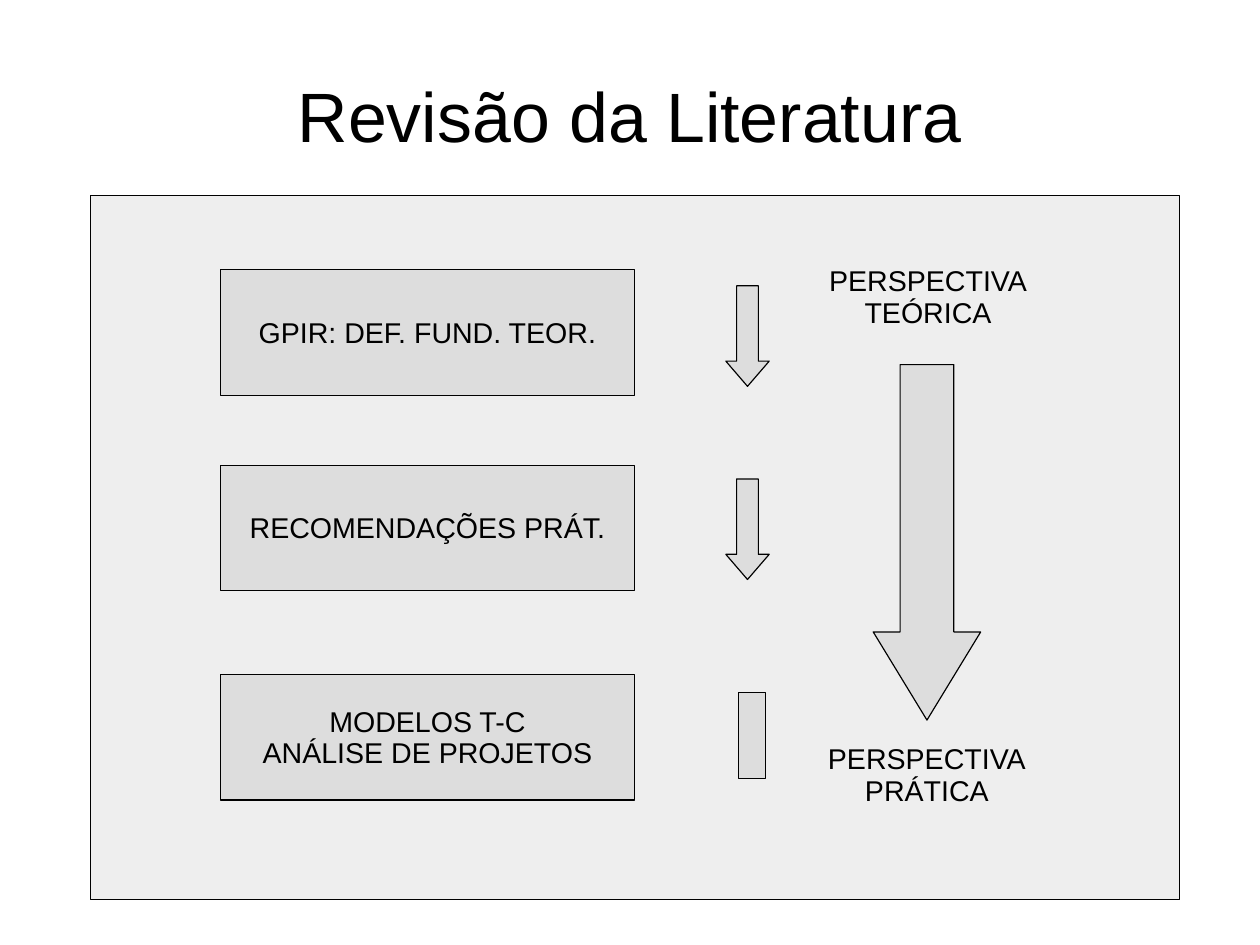
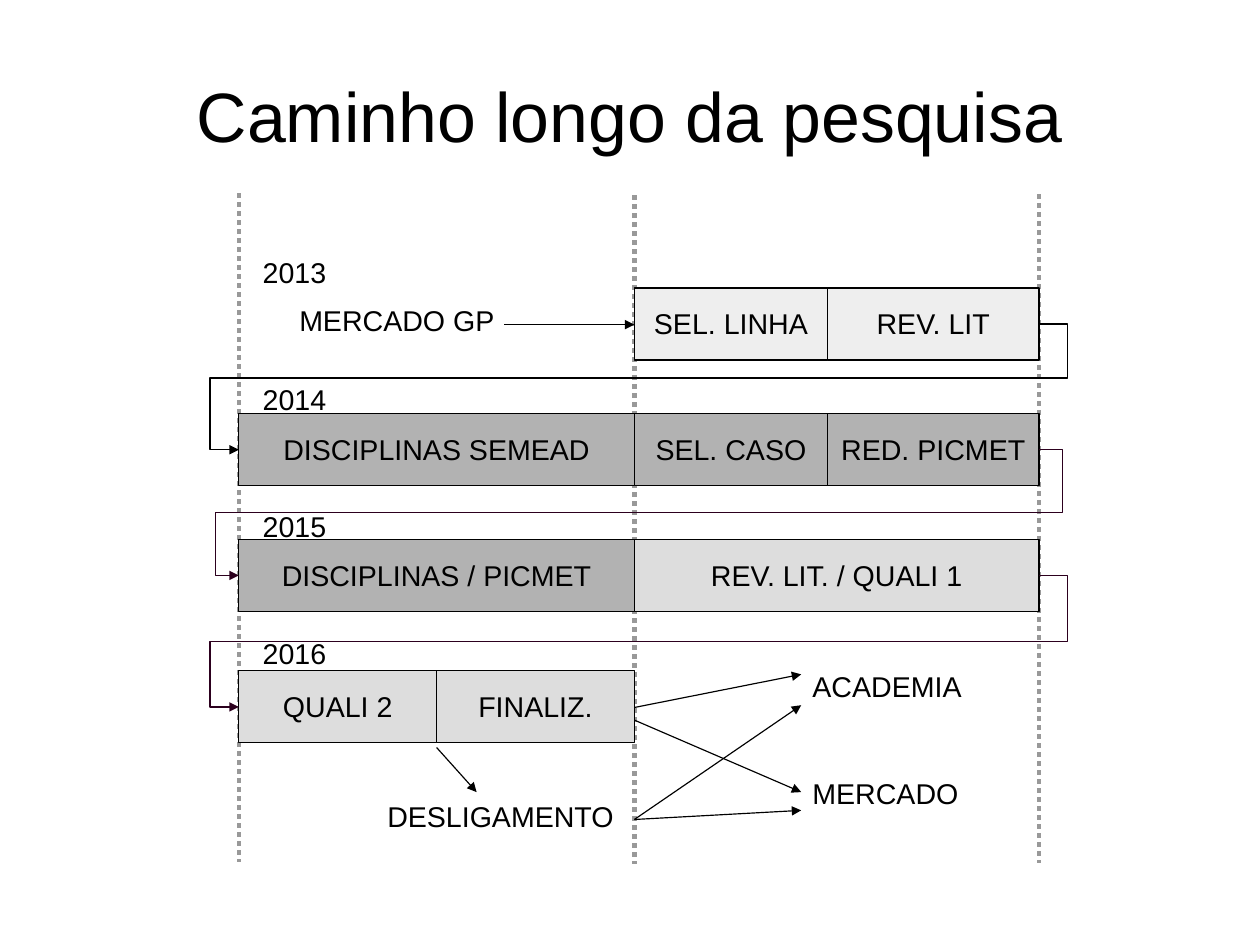
from lxml import etree
from pptx import Presentation
from pptx.dml.color import RGBColor
from pptx.enum import dml, shapes, text
from pptx.oxml.ns import qn
from pptx.util import Cm, Inches, Pt

# Shared look
WIDE, HIGH = Cm(28), Cm(21)
FONT = "Arial"
BLACK = RGBColor(0x00, 0x00, 0x00)
PLUM = RGBColor(0x2C, 0x00, 0x1E)
PALE = RGBColor(0xEE, 0xEE, 0xEE)
LIGHT = RGBColor(0xDD, 0xDD, 0xDD)
MID = RGBColor(0xB2, 0xB2, 0xB2)
DOT = RGBColor(0x99, 0x99, 0x99)
THIN = 0.75
RECT = shapes.MSO_SHAPE.RECTANGLE
DOWN = shapes.MSO_SHAPE.DOWN_ARROW
LEFT, MIDDLE = text.PP_ALIGN.LEFT, text.PP_ALIGN.CENTER

# Review slide: stacked boxes
STACK = (2.36, 4.07, 5.9)
BOX_X, BOX_W, BOX_H = 1.93, 3.62, 1.1

# Route slide: column edges, row tops, row height
COLS = (2.09, 3.82, 5.55, 7.24, 9.09)
ROWS = (2.52, 3.62, 4.72, 5.87)
ROW_H = 0.63


def inch(*sizes):
    return [Inches(size) for size in sizes]


def write(frame, lines, size=18, align=MIDDLE, side=0.05, top=0.07, foot=0.05):
    frame.word_wrap = True
    frame.margin_left = frame.margin_right = Inches(side)
    frame.margin_top, frame.margin_bottom = inch(top, foot)
    for i, line in enumerate(lines):
        para = frame.add_paragraph() if i else frame.paragraphs[0]
        para.alignment = align
        para.line_spacing = 0.93
        run = para.add_run()
        run.text = line
        run.font.name = FONT
        run.font.size = Pt(size)
        run.font.color.rgb = BLACK


def block(slide, kind, at, fill, lines=()):
    shape = slide.shapes.add_shape(kind, *inch(*at))
    shape.shadow.inherit = False
    shape.fill.solid()
    shape.fill.fore_color.rgb = fill
    shape.line.color.rgb = BLACK
    shape.line.width = Pt(THIN)
    if lines:
        shape.text_frame.vertical_anchor = text.MSO_ANCHOR.MIDDLE
        write(shape.text_frame, lines)
    return shape


def arrow(slide, at, head):
    shape = block(slide, DOWN, at, LIGHT)
    shape.adjustments[1] = head


def label(slide, at, lines, align=LEFT, anchor=text.MSO_ANCHOR.TOP, **style):
    frame = slide.shapes.add_textbox(*inch(*at)).text_frame
    frame.vertical_anchor = anchor
    write(frame, lines, align=align, **style)


def link(slide, start, end, color=BLACK, width=THIN, head=True, dash=None,
         kind=shapes.MSO_CONNECTOR.STRAIGHT):
    line = slide.shapes.add_connector(kind, *inch(*start, *end))
    line.line.color.rgb = color
    line.line.width = Pt(width)
    if dash:
        line.line.dash_style = dash
    props = line._element.spPr
    if head:
        etree.SubElement(props.find(qn("a:ln")), qn("a:tailEnd"), type="triangle")
    etree.SubElement(props, qn("a:effectLst"))
    return line


def wrap(slide, row, out, share, color):
    """Lead from the right end of a row to the left start of the next."""
    y, below = (top + ROW_H / 2 for top in ROWS[row:row + 2])
    line = link(slide, (COLS[-1], y), (COLS[0], below), color,
                kind=shapes.MSO_CONNECTOR.ELBOW)
    geom = line._element.spPr.find(qn("a:prstGeom"))
    geom.set("prst", "bentConnector5")
    for old in list(geom):
        geom.remove(old)
    guides = etree.SubElement(geom, qn("a:avLst"))
    ratio = out / (COLS[-1] - COLS[0])
    for i, val in enumerate((-ratio, share, 1 + ratio), 1):
        etree.SubElement(guides, qn("a:gd"), name=f"adj{i}",
                         fmla=f"val {round(val * 100000)}")


def start(deck, title):
    slide = deck.slides.add_slide(deck.slide_layouts[6])
    wide, high = WIDE.inches, HIGH.inches
    label(slide, (0.05 * wide, 0.04 * high, 0.9 * wide, high / 6), [title],
          MIDDLE, text.MSO_ANCHOR.MIDDLE, size=44, side=0, top=0.04, foot=0)
    return slide


def review(deck):
    slide = start(deck, "Revisão da Literatura")
    block(slide, RECT, (0.79, 1.71, 9.53, 6.16), PALE)
    # Topics
    topics = (["GPIR: DEF. FUND. TEOR."], ["RECOMENDAÇÕES PRÁT."],
              ["MODELOS T-C", "ANÁLISE DE PROJETOS"])
    for y, lines in zip(STACK, topics):
        block(slide, RECT, (BOX_X, y, BOX_W, BOX_H), LIGHT, lines)
    # Small markers beside the topics
    for y in (2.5, 4.19):
        arrow(slide, (6.35, y, 0.38, 0.88), 0.58)
    block(slide, RECT, (6.46, 6.06, 0.24, 0.75), LIGHT)
    # From theory to practice
    arrow(slide, (7.64, 3.19, 0.94, 3.11), 0.82)
    for x, y, view in ((7.02, 2.2, "TEÓRICA"), (7.01, 6.38, "PRÁTICA")):
        label(slide, (x, y, 2.2, 0.8), ["PERSPECTIVA", view], MIDDLE,
              text.MSO_ANCHOR.MIDDLE)


def route(deck):
    slide = start(deck, "Caminho longo da pesquisa")
    # Semester guides
    for x, y in zip(COLS[::2], (1.69, 1.71, 1.7)):
        link(slide, (x, y), (x, y + 5.85), DOT, 2.83, False,
             dml.MSO_LINE.ROUND_DOT)
    # Stages: row, first column, end column
    stages = (
        (0, 2, 3, PALE, "SEL. LINHA"), (0, 3, 4, PALE, "REV. LIT"),
        (1, 0, 2, MID, "DISCIPLINAS SEMEAD"), (1, 2, 3, MID, "SEL. CASO"),
        (1, 3, 4, MID, "RED. PICMET"),
        (2, 0, 2, MID, "DISCIPLINAS / PICMET"),
        (2, 2, 4, LIGHT, "REV. LIT. / QUALI 1"),
        (3, 0, 1, LIGHT, "QUALI 2"), (3, 1, 2, LIGHT, "FINALIZ."),
    )
    for row, a, b, fill, name in stages:
        block(slide, RECT, (COLS[a], ROWS[row], COLS[b] - COLS[a], ROW_H),
              fill, [name])
    # Years and free labels
    notes = [(2.2, 2.21 + 1.11 * i, str(2013 + i)) for i in range(4)]
    notes += [(2.52, 2.63, "MERCADO GP"), (3.29, 6.97, "DESLIGAMENTO"),
              (7.01, 5.83, "ACADEMIA"), (7.01, 6.77, "MERCADO")]
    for x, y, name in notes:
        label(slide, (x, y, 2.3, 0.4), [name], side=0.1, top=0.05)
    # Row to row
    for row, out, share, color in ((0, 0.25, 0.43, BLACK),
                                   (1, 0.2, 0.5, PLUM), (2, 0.25, 0.5, PLUM)):
        wrap(slide, row, out, share, color)
    # Entry and outcomes
    mid, goal = COLS[2], 7.01
    for a, b in (((4.41, 2.84), (mid, 2.84)),
                 ((COLS[1], 6.54), (4.17, 6.93)),
                 ((mid, 6.19), (goal, 5.9)), ((mid, 6.3), (goal, 6.93)),
                 ((mid, 7.17), (goal, 7.09)), ((mid, 7.17), (goal, 6.17))):
        link(slide, a, b)


def main():
    deck = Presentation()
    deck.slide_width, deck.slide_height = WIDE, HIGH
    review(deck)
    route(deck)
    deck.save("out.pptx")


if __name__ == "__main__":
    main()
